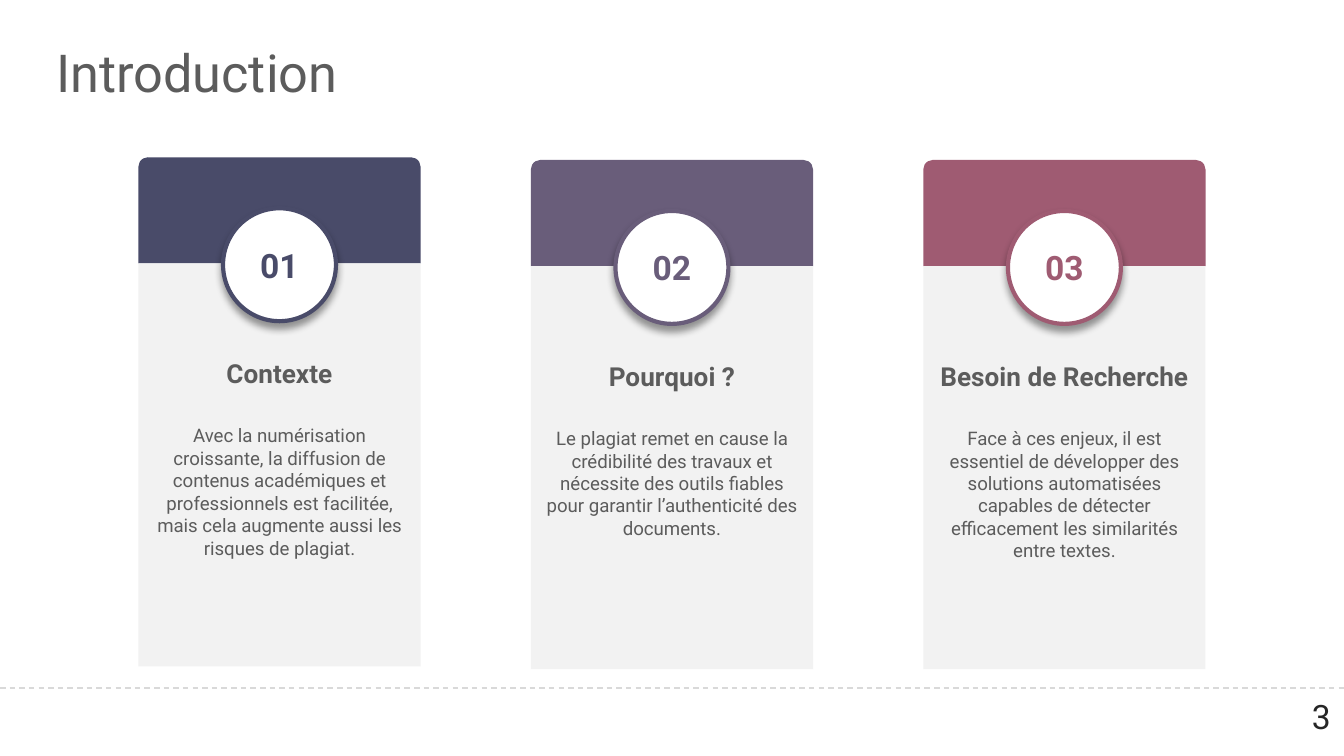
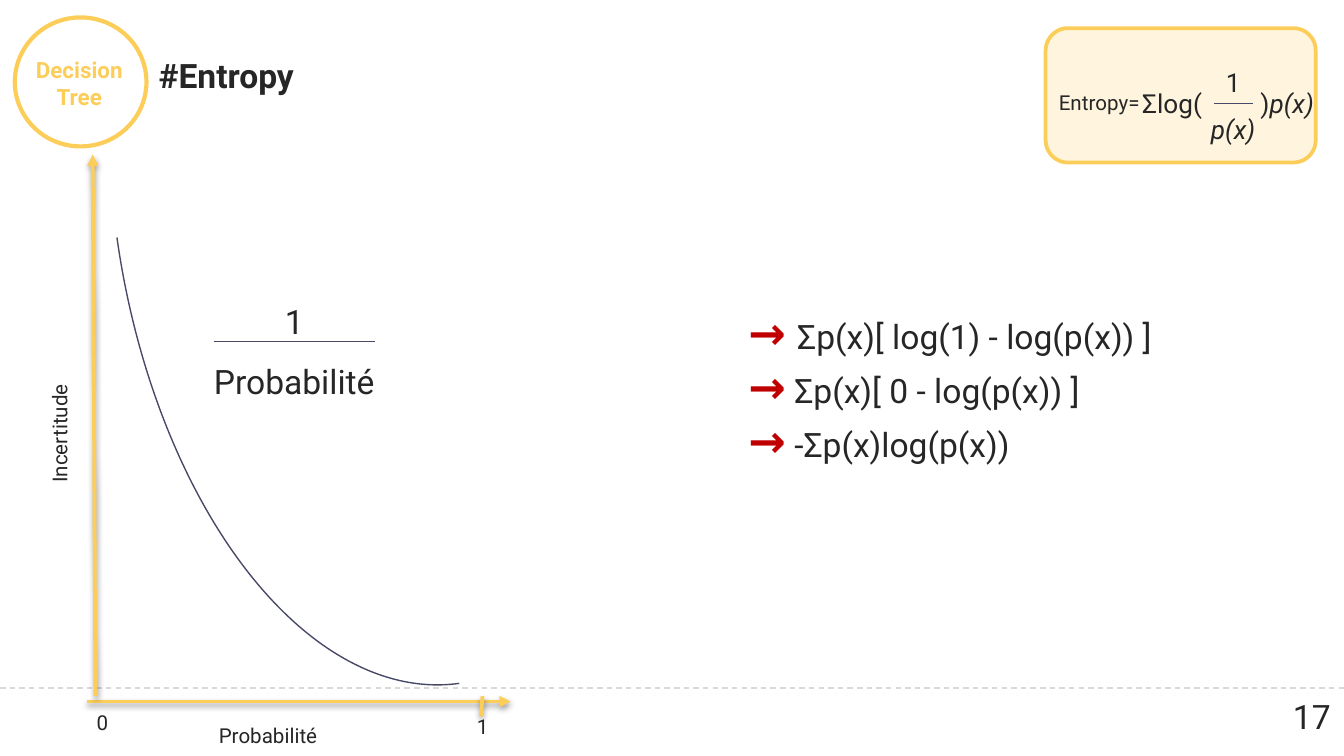
from pptx import Presentation
from pptx import oxml
from pptx import util as u
from pptx.dml.color import RGBColor
from pptx.enum import dml, shapes, text
from pptx.oxml import ns

FONT = "Roboto"
WHITE = RGBColor(0xFF, 0xFF, 0xFF)
GREY = RGBColor(0x5C, 0x5C, 0x5C)
INK = RGBColor(0x26, 0x26, 0x26)
RULE = RGBColor(0xD9, 0xD9, 0xD9)
CARD = RGBColor(0xF2, 0xF2, 0xF2)
NAVY = RGBColor(0x49, 0x4B, 0x69)
PLUM = RGBColor(0x69, 0x5D, 0x7A)
ROSE = RGBColor(0x9F, 0x5B, 0x72)
YELLOW = RGBColor(0xFD, 0xCD, 0x5A)
CREAM = RGBColor(0xFF, 0xF5, 0xDE)
CURVE = RGBColor(0x47, 0x49, 0x67)
RED = RGBColor(0xC0, 0x00, 0x00)

NAMESPACE = ns.nsdecls("a")
NO_EFFECT = f"<a:effectLst {NAMESPACE}/>"
SHADOW = (
    f'<a:effectLst {NAMESPACE}><a:outerShdw blurRad="{{}}" dist="{{}}" dir="5400000" '
    'rotWithShape="0"><a:srgbClr val="000000"><a:alpha val="{}"/></a:srgbClr>'
    "</a:outerShdw></a:effectLst>"
)
AXIS_SHADOW = SHADOW.format(u.Pt(3.1), u.Pt(1.6), 38000)
CIRCLE_SHADOW = SHADOW.format(u.Pt(4), u.Pt(3), 40000)


def add_run(paragraph, wording, size, color, bold=False, italic=False):
    run = paragraph.add_run()
    run.text = wording
    run.font.name = FONT
    run.font.size = u.Pt(size)
    run.font.color.rgb = color
    run.font.bold = bold
    run.font.italic = italic


def add_line(slide, start, end, color, width, effect=NO_EFFECT):
    line = slide.shapes.add_connector(
        shapes.MSO_CONNECTOR.STRAIGHT, *[u.Inches(value) for value in start + end])
    line.line.color.rgb = color
    line.line.width = u.Pt(width)
    line._element.spPr.append(oxml.parse_xml(effect))
    return line


presentation = Presentation()
presentation.slide_width = u.Inches(10)
presentation.slide_height = u.Inches(10 * 9 / 16)
layout = presentation.slide_layouts[5]

titles = [
    ("Introduction", "3", (0.42, 0.31, 9.15, 0.45), 28, GREY, False, 0),
    ("#Entropy", "17", (1.08, 0.36, 1.83, 0.4), 18, INK, True, 0.1),
]
for wording, number, place, size, color, bold, inset in titles:
    slide = presentation.slides.add_slide(layout)
    title = slide.shapes.title
    title.left, title.top, title.width, title.height = [u.Inches(value) for value in place]
    frame = title.text_frame
    frame.auto_size = text.MSO_AUTO_SIZE.NONE
    frame.vertical_anchor = text.MSO_ANCHOR.MIDDLE
    frame.margin_left = frame.margin_right = u.Inches(inset)
    frame.margin_top = frame.margin_bottom = 0
    frame.paragraphs[0].alignment = text.PP_ALIGN.LEFT
    add_run(frame.paragraphs[0], wording, size, color, bold)

    footer = slide.shapes.add_shape(
        shapes.MSO_SHAPE.RECTANGLE, 0, u.Inches(5.13), u.Inches(10), u.Inches(0.5))
    footer.shadow.inherit = False
    footer.fill.solid()
    footer.fill.fore_color.rgb = WHITE
    footer.line.fill.background()
    footer.text_frame.vertical_anchor = text.MSO_ANCHOR.TOP
    footer.text_frame.paragraphs[0].alignment = text.PP_ALIGN.RIGHT
    add_run(footer.text_frame.paragraphs[0], number, 18, INK)

introduction, entropy = presentation.slides

footer_rule = add_line(introduction, (0, 5.12), (10, 5.12), RULE, 0.75)
footer_rule.line.dash_style = dml.MSO_LINE.DASH
layout.shapes._spTree.append(footer_rule._element)

cards = [
    ("01", "Contexte", NAVY, 1.17,
     "Avec la numérisation croissante, la diffusion de contenus académiques et "
     "professionnels est facilitée, mais cela augmente aussi les risques de plagiat."),
    ("02", "Pourquoi ?", PLUM, 1.19,
     "Le plagiat remet en cause la crédibilité des travaux et nécessite des outils "
     "fiables pour garantir l’authenticité des documents."),
    ("03", "Besoin de Recherche", ROSE, 1.19,
     "Face à ces enjeux, il est essentiel de développer des solutions automatisées "
     "capables de détecter efficacement les similarités entre textes."),
]
for index, (number, heading, color, top, description) in enumerate(cards):
    left = 1.03 + 2.92 * index
    parts = [
        (shapes.MSO_SHAPE.ROUND_2_SAME_RECTANGLE, left, top, 2.1, 0.79, color),
        (shapes.MSO_SHAPE.RECTANGLE, left, top + 0.79, 2.1, 3, CARD),
        (shapes.MSO_SHAPE.OVAL, left + 0.63, top + 0.38, 0.84, 0.84, WHITE),
    ]
    drawn = []
    for kind, x, y, width, height, fill in parts:
        shape = introduction.shapes.add_shape(
            kind, u.Inches(x), u.Inches(y), u.Inches(width), u.Inches(height))
        shape.fill.solid()
        shape.fill.fore_color.rgb = fill
        shape.line.fill.background()
        drawn.append(shape)
    header, body, circle = drawn
    header.shadow.inherit = body.shadow.inherit = False
    header.adjustments[0] = 0.09
    header.adjustments[1] = 0

    frame = body.text_frame
    frame.vertical_anchor = text.MSO_ANCHOR.TOP
    frame.margin_top = u.Inches(0.7)
    paragraph = frame.paragraphs[0]
    paragraph.alignment = text.PP_ALIGN.CENTER
    add_run(paragraph, heading, 14, GREY, True)
    paragraph = frame.add_paragraph()
    paragraph.alignment = text.PP_ALIGN.CENTER
    paragraph.space_before = u.Pt(19)
    add_run(paragraph, description, 10, GREY)

    circle.line.color.rgb = color
    circle.line.width = u.Pt(2.25)
    circle._element.spPr.append(oxml.parse_xml(CIRCLE_SHADOW))
    circle.text_frame.vertical_anchor = text.MSO_ANCHOR.MIDDLE
    circle.text_frame.paragraphs[0].alignment = text.PP_ALIGN.CENTER
    add_run(circle.text_frame.paragraphs[0], number, 18, color, True)

outlines = [
    (shapes.MSO_SHAPE.OVAL, (0.11, 0.13, 0.98, 0.96), None, YELLOW, 2.25, 0),
    (shapes.MSO_SHAPE.ROUNDED_RECTANGLE, (7.78, 0.21, 2.01, 1), CREAM, YELLOW, 2, 0),
    (shapes.MSO_SHAPE.ARC, (0.85, -2.16, 4.12, 7.28), None, CURVE, 0.75, 172),
]
for kind, place, fill, color, width, rotation in outlines:
    shape = entropy.shapes.add_shape(kind, *[u.Inches(value) for value in place])
    shape.shadow.inherit = False
    shape.rotation = rotation
    shape.line.color.rgb = color
    shape.line.width = u.Pt(width)
    if fill is None:
        shape.fill.background()
    else:
        shape.fill.solid()
        shape.fill.fore_color.rgb = fill

axes = [
    ((0.65, 5.22), (3.8, 5.22), True),
    ((0.71, 5.18), (0.69, 1.15), True),
    ((3.59, 5.18), (3.58, 5.33), False),
]
for start, end, arrow in axes:
    axis = add_line(entropy, start, end, YELLOW, 2, AXIS_SHADOW)
    if arrow:
        axis.line._get_or_add_ln().append(
            oxml.parse_xml(f'<a:tailEnd {NAMESPACE} type="triangle"/>'))

add_line(entropy, (1.59, 2.54), (2.79, 2.54), CURVE, 0.75)
add_line(entropy, (9.03, 0.77), (9.32, 0.77), CURVE, 0.75)

LEFT, CENTER = text.PP_ALIGN.LEFT, text.PP_ALIGN.CENTER
labels = [
    ((0.02, 0.37, 1.14, 0.5), 0, CENTER, 1, [[("Decision Tree", 12, YELLOW, True)]]),
    ((7.78, 0.62, 0.87, 0.29), 0, LEFT, 1, [[("Entropy=", 11, INK)]]),
    ((1.53, 5.33, 1, 0.29), 0, LEFT, 1, [[("Probabilité", 11, INK)]]),
    ((3.45, 5.26, 0.28, 0.29), 0, LEFT, 1, [[("1", 11, INK)]]),
    ((0.62, 5.23, 0.28, 0.29), 0, LEFT, 1, [[("0", 11, INK)]]),
    ((-0.07, 3.03, 1.03, 0.29), 270, LEFT, 1, [[("Incertitude", 11, INK)]]),
    ((1.42, 2.04, 1.54, 0.96), 0, CENTER, 1.5,
     [[("1", 18, INK)], [("Probabilité", 18, INK)]]),
    ((8.77, 0.33, 0.81, 0.77), 0, CENTER, 1.5,
     [[("1", 14, INK)], [("p(x)", 14, INK, False, True)]]),
    ((8.4, 0.6, 1.55, 0.34), 0, LEFT, 1,
     [[("Σlog(\t)", 14, INK), ("p(x)", 14, INK, False, True)]]),
    ((5.47, 2.22, 3.44, 1.92), 0, LEFT, 1,
     [[("→ ", 24, RED, True), ("Σp(x)[ log(1) - log(p(x)) ]", 18, INK)],
      [("→", 24, RED, True), (" Σp(x)[ 0 - log(p(x)) ]", 18, INK)],
      [("→", 24, RED, True), (" -Σp(x)log(p(x))", 18, INK)]]),
]
for place, rotation, alignment, spacing, lines in labels:
    label = entropy.shapes.add_textbox(*[u.Inches(value) for value in place])
    label.rotation = rotation
    frame = label.text_frame
    frame.word_wrap = True
    for index, runs in enumerate(lines):
        paragraph = frame.add_paragraph() if index else frame.paragraphs[0]
        paragraph.alignment = alignment
        paragraph.line_spacing = spacing
        if "\t" in runs[0][0]:
            paragraph._p.get_or_add_pPr().append(oxml.parse_xml(
                f'<a:tabLst {NAMESPACE}><a:tab pos="{u.Inches(0.88)}" algn="l"/></a:tabLst>'))
        for run in runs:
            add_run(paragraph, *run)

presentation.save("out.pptx")
